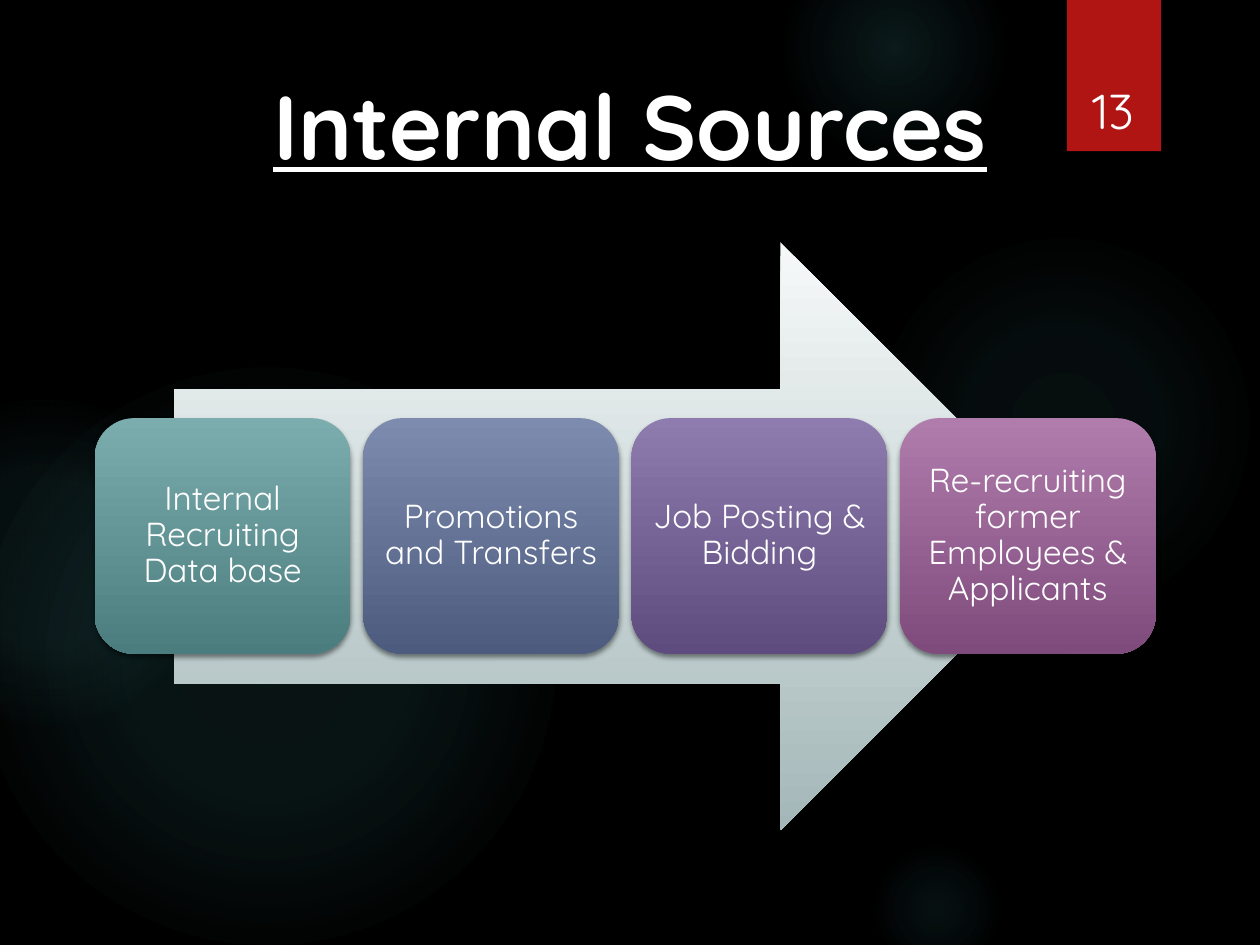
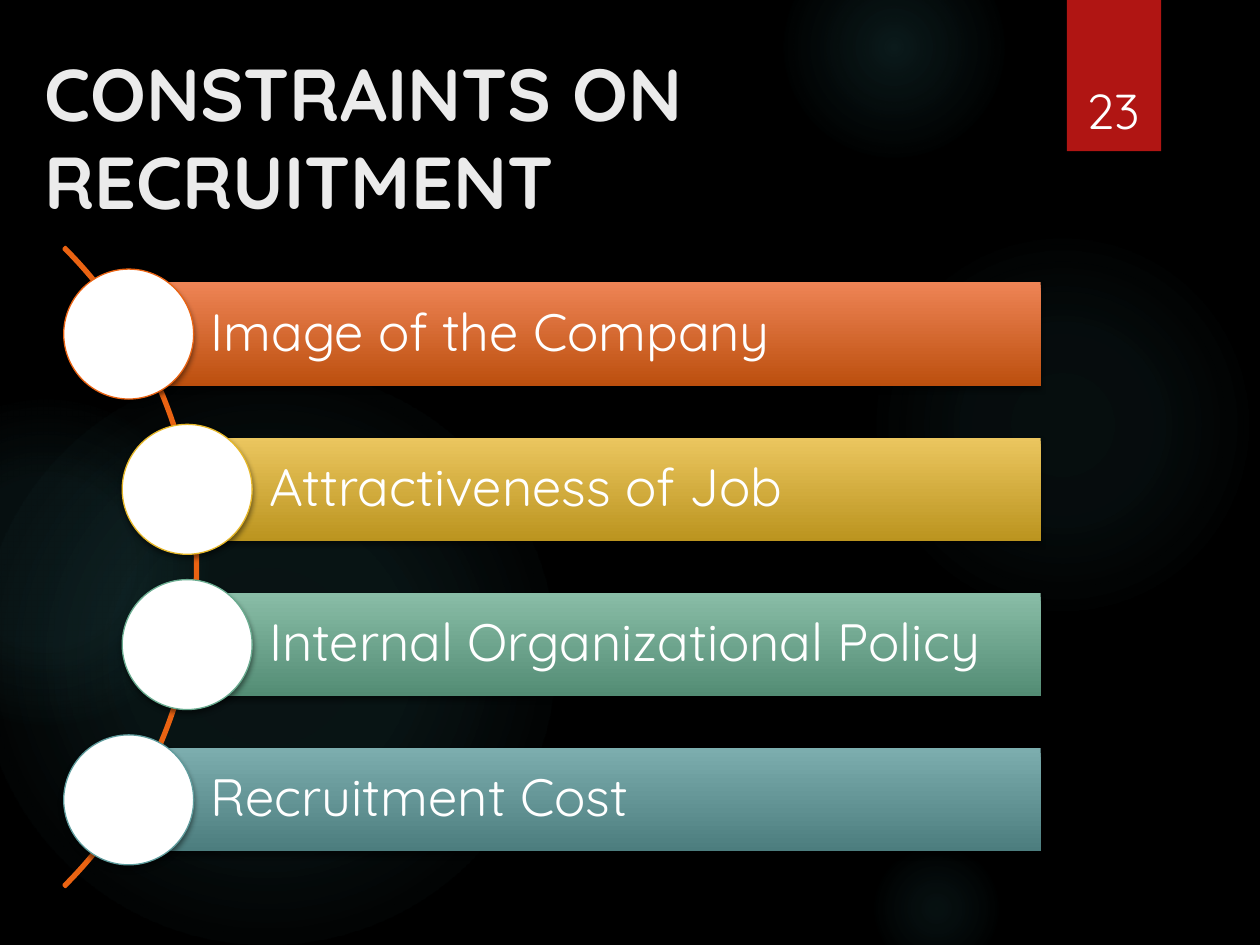
from math import sqrt

from lxml import etree
from pptx import Presentation
from pptx.dml.color import RGBColor
from pptx.enum.shapes import MSO_SHAPE
from pptx.enum.text import MSO_ANCHOR, MSO_AUTO_SIZE, PP_ALIGN
from pptx.oxml.ns import qn
from pptx.util import Cm, Pt

RECT, ROUNDED, OVAL = MSO_SHAPE.RECTANGLE, MSO_SHAPE.ROUNDED_RECTANGLE, MSO_SHAPE.OVAL
ARROW, ARC = MSO_SHAPE.RIGHT_ARROW, MSO_SHAPE.BLOCK_ARC
TOP, MIDDLE, BOTTOM = MSO_ANCHOR.TOP, MSO_ANCHOR.MIDDLE, MSO_ANCHOR.BOTTOM
LEFT, CENTER = PP_ALIGN.LEFT, PP_ALIGN.CENTER
NO_FIT = MSO_AUTO_SIZE.NONE

# Content: text, then gradient top and bottom (and outline of the circle)
SOURCES = [
    ("Internal Recruiting Data base", "7CADAE", "4C7D7E"),
    ("Promotions and Transfers", "7C8BAE", "4C5B7E"),
    ("Job Posting & Bidding", "8E7CAE", "5E4C7F"),
    ("Re-recruiting former Employees & Applicants", "AF7CAC", "7F4B7C"),
]
CONSTRAINTS = [
    ("Image of the Company", "EE8455", "BC4F0E", "EA6312"),
    ("Attractiveness of Job", "EBC65F", "BB941F", "E6B729"),
    ("Internal Organizational Policy", "89BDA7", "538C74", "6AAC90"),
    ("Recruitment Cost", "7CADAE", "4C7D7E", "5F9C9D"),
]

# Shared look
FONT = "Quicksand"
BLACK, WHITE, TITLE_GREY = "000000", "FFFFFF", "EBEBEB"
RED, ORANGE, GLOW = "B01513", "EA6312", "50B9C1"
# Glows: left, top, diameter (cm), then (position, opacity) in percent
GLOWS = [
    (17.5, 4.65, 7.82, [(0, 7), (36, 6), (69, 0)]),
    (15.8, -1.27, 4.45, [(0, 14), (36, 7), (73, 0)]),
    (17.5, 16.94, 2.74, [(0, 9), (36, 5), (66, 0)]),
    (-0.43, 7.42, 11.63, [(0, 11), (36, 10), (75, 0)]),
    (-2.34, 8.05, 6.55, [(0, 8), (36, 8), (72, 0)]),
]


def rgb(color):
    return RGBColor.from_string(color)


def add_color(parent, color, alpha=100):
    clr = etree.SubElement(parent, qn("a:srgbClr"), val=color)
    if alpha < 100:
        etree.SubElement(clr, qn("a:alpha"), val=str(alpha * 1000))


def set_gradient(sp, stops, radial=False):
    """Fill with (position, colour, opacity) stops, top-down or from the centre."""
    sp.fill.background()
    spPr = sp.element.spPr
    grad = etree.Element(qn("a:gradFill"), rotWithShape="1")
    spPr.replace(spPr.find(qn("a:noFill")), grad)
    gs_list = etree.SubElement(grad, qn("a:gsLst"))
    for pos, color, alpha in stops:
        add_color(etree.SubElement(gs_list, qn("a:gs"), pos=str(pos * 1000)), color, alpha)
    if radial:
        center = etree.SubElement(grad, qn("a:path"), path="circle")
        etree.SubElement(center, qn("a:fillToRect"), l="50000", t="50000", r="50000", b="50000")
    else:
        etree.SubElement(grad, qn("a:lin"), ang="5400000", scaled="0")


def add_shape(s, kind, x, y, w, h, fill=None, line=None, line_pt=0.75, shadow=False):
    """fill is a colour or a (top, bottom) pair of colours."""
    sp = s.shapes.add_shape(kind, Cm(x), Cm(y), Cm(w), Cm(h))
    if fill is None:
        sp.fill.background()
    elif isinstance(fill, str):
        sp.fill.solid()
        sp.fill.fore_color.rgb = rgb(fill)
    else:
        set_gradient(sp, [(0, fill[0], 100), (100, fill[1], 100)])
    if line:
        sp.line.color.rgb = rgb(line)
        sp.line.width = Pt(line_pt)
    else:
        sp.line.fill.background()
    sp.shadow.inherit = False
    if shadow:
        effects = sp.element.spPr.find(qn("a:effectLst"))
        outer = etree.SubElement(effects, qn("a:outerShdw"), blurRad=str(Pt(3)),
                                 dist=str(Pt(2)), dir="5400000", rotWithShape="0")
        add_color(outer, BLACK, 45)
    return sp


def set_text(sp, text, size, color=WHITE, align=LEFT, anchor=MIDDLE, spacing=1.0,
             margins=(0.25, 0.13, 0.25, 0.13), bold=False, underline=False):
    tf = sp.text_frame
    tf.word_wrap, tf.auto_size, tf.vertical_anchor = True, NO_FIT, anchor
    tf.margin_left, tf.margin_top, tf.margin_right, tf.margin_bottom = map(Cm, margins)
    p = tf.paragraphs[0]
    p.alignment, p.line_spacing = align, spacing
    r = p.add_run()
    r.text = text
    r.font.name, r.font.size, r.font.color.rgb = FONT, Pt(size), rgb(color)
    r.font.bold, r.font.underline = bold, underline


def add_slide(prs, number, title, x, y, h, **title_style):
    """Slide with the glows, the numbered red band and the title."""
    s = prs.slides.add_slide(prs.slide_layouts[5])
    s.background.fill.solid()
    s.background.fill.fore_color.rgb = rgb(BLACK)
    for left, top, size, stops in GLOWS:
        glow = add_shape(s, OVAL, left, top, size, size)
        set_gradient(glow, [(pos, GLOW, alpha) for pos, alpha in stops], radial=True)
    add_shape(s, RECT, 21.51, 0, 1.9, 3.05, RED, shadow=True)
    box = s.shapes.add_textbox(Cm(21.56), Cm(0.81), Cm(1.75), Cm(2.13))
    set_text(box, number, 28, align=CENTER, anchor=BOTTOM)

    sp = s.shapes.title
    sp.left, sp.top, sp.width, sp.height = Cm(x), Cm(y), Cm(22.86), Cm(h)
    set_text(sp, title, anchor=TOP, bold=True, **title_style)
    s.shapes.element.append(sp.element)  # bring in front of the glows
    return s


def build_sources(prs):
    s = add_slide(prs, "13", "Internal Sources", 1.27, 1.27, 3.38,
                  size=52, align=CENTER, underline=True)
    add_shape(s, ARROW, 3.5, 4.88, 18.16, 11.86, ("F6F9F9", "A4B7B8"))
    # Row of steps
    left, width, gap = 1.91, 5.16, 0.25
    for i, (text, *colors) in enumerate(SOURCES):
        sp = add_shape(s, ROUNDED, left + i * (width + gap), 8.43, width, 4.75,
                       colors, shadow=True)
        set_text(sp, text, 19, align=CENTER, spacing=0.9, margins=[0.2] * 4)


def build_constraints(prs):
    s = add_slide(prs, "23", "CONSTRAINTS ON RECRUITMENT", 0.64, 0.84, 3.18,
                  size=42, color=TITLE_GREY)
    # Arc whose curve carries the circles
    center_x, center_y, arc_size, radius = -5.13, 11.43, 18.24, 9.04
    arc = add_shape(s, ARC, center_x - arc_size / 2, center_y - arc_size / 2,
                    arc_size, arc_size, line=ORANGE, line_pt=1.5)
    for i, value in enumerate((189, 27, 0.003)):  # 315 to 45 degrees, hairline thick
        arc.adjustments[i] = value
    # Bars start on the curve, each with a circle centred on its left end
    right, bar_h, circle, pitch = 20.98, 2.08, 2.62, 3.13
    for i, (text, top, bottom, outline) in enumerate(CONSTRAINTS):
        dy = (i - (len(CONSTRAINTS) - 1) / 2) * pitch
        x, y = center_x + sqrt(radius ** 2 - dy ** 2), center_y + dy
        bar = add_shape(s, RECT, x, y - bar_h / 2, right - x, bar_h, (top, bottom), shadow=True)
        set_text(bar, text, 30, spacing=0.9, margins=(1.65, 0.2, 0.2, 0.2))
        add_shape(s, OVAL, x - circle / 2, y - circle / 2, circle, circle,
                  WHITE, line=outline, shadow=True)


def main():
    prs = Presentation()
    prs.slide_width, prs.slide_height = Cm(25.4), Cm(19.05)
    build_sources(prs)
    build_constraints(prs)
    prs.save("out.pptx")


if __name__ == "__main__":
    main()
